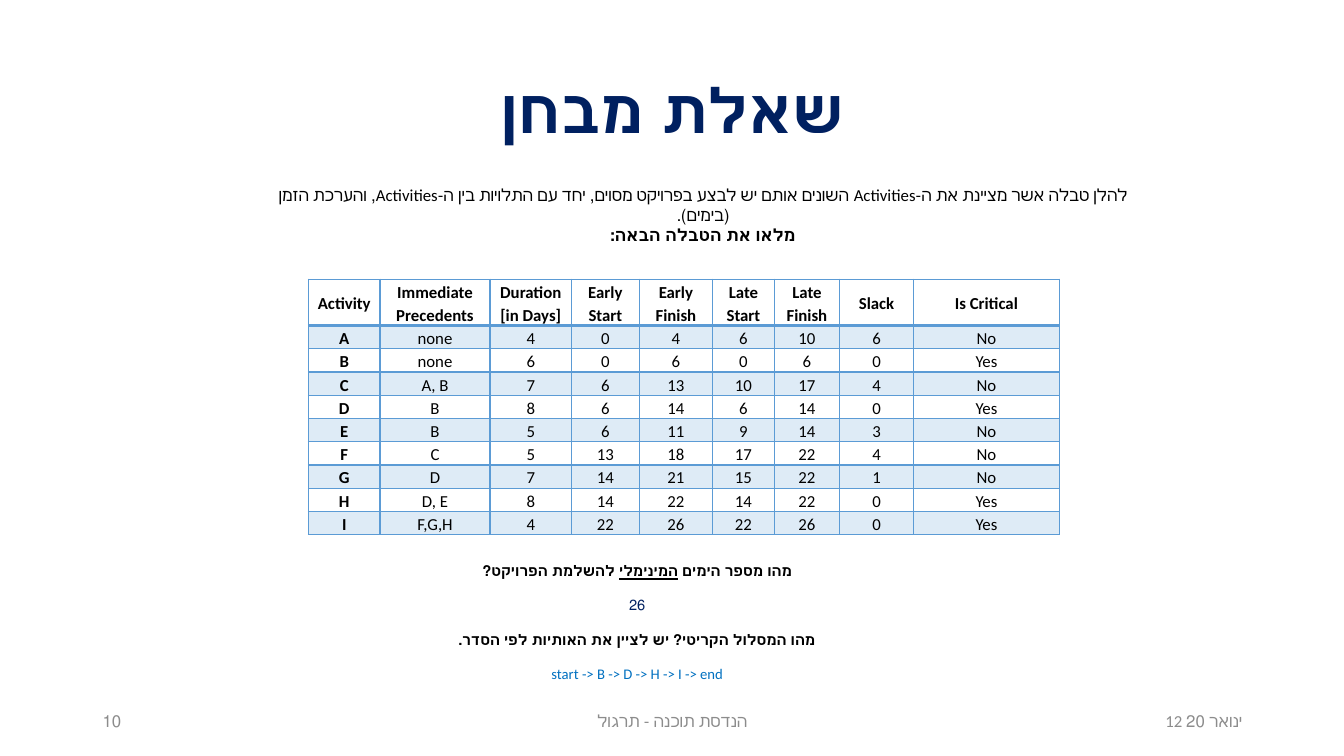
import pptx
import pptx.util
import pptx.dml.color
import pptx.enum.text
import pptx.oxml
import pptx.oxml.ns

Inches = pptx.util.Inches
ALIGN = pptx.enum.text.PP_ALIGN
ANCHOR = pptx.enum.text.MSO_ANCHOR

COLORS = {"navy": "002060", "black": "000000", "gray": "8C8C8C",
          "blue": "5B9BD5", "answer": "0070C0"}

HEADERS = ["Activity", "Immediate Precedents", "Duration [in Days]", "Early Start",
           "Early Finish", "Late Start", "Late Finish", "Slack", "Is Critical"]
ACTIVITIES = [
    ["A", "none", 4, 0, 4, 6, 10, 6, "No"],
    ["B", "none", 6, 0, 6, 0, 6, 0, "Yes"],
    ["C", "A, B", 7, 6, 13, 10, 17, 4, "No"],
    ["D", "B", 8, 6, 14, 6, 14, 0, "Yes"],
    ["E", "B", 5, 6, 11, 9, 14, 3, "No"],
    ["F", "C", 5, 13, 18, 17, 22, 4, "No"],
    ["G", "D", 7, 14, 21, 15, 22, 1, "No"],
    ["H", "D, E", 8, 14, 22, 14, 22, 0, "Yes"],
    ["I", "F,G,H", 4, 22, 26, 22, 26, 0, "Yes"],
]
COLUMN_WIDTHS = [0.71, 1.09, 0.81, 0.67, 0.73, 0.61, 0.65, 0.73, 1.45]


class SlideBuilder:
    """Holds the style and the current slide."""

    font_name = "Calibri"

    def __init__(self, slide):
        self.slide = slide

    def format(self, paragraph, size, color="black", bold=False,
               align=ALIGN.CENTER, rtl=False, spacing=None, after=None):
        if rtl:
            paragraph._p.get_or_add_pPr().set("rtl", "1")
        paragraph.alignment = align
        if spacing is not None:
            paragraph.line_spacing = spacing
        if after is not None:
            paragraph.space_after = pptx.util.Pt(after)
        font = paragraph.font
        font.name = self.font_name
        font.size = pptx.util.Pt(size)
        font.bold = bold
        font.color.rgb = pptx.dml.color.RGBColor.from_string(COLORS[color])

    def title(self, text, left, top, width, height):
        shape = self.slide.shapes.title
        shape.left, shape.top = Inches(left), Inches(top)
        shape.width, shape.height = Inches(width), Inches(height)
        shape.text_frame.text = text
        shape.text_frame.vertical_anchor = ANCHOR.MIDDLE
        self.format(shape.text_frame.paragraphs[0], 44, "navy", True, rtl=True, spacing=0.9)

    def text(self, left, top, width, height, lines, anchor=ANCHOR.MIDDLE, **style):
        """Each line is a list of runs with its own style; a run in a tuple is underlined."""
        box = self.slide.shapes.add_textbox(
            Inches(left), Inches(top), Inches(width), Inches(height))
        frame = box.text_frame
        frame.word_wrap = True
        frame.vertical_anchor = anchor
        for index, (runs, line_style) in enumerate(lines):
            paragraph = frame.paragraphs[0] if index == 0 else frame.add_paragraph()
            for part in runs:
                run = paragraph.add_run()
                if isinstance(part, tuple):
                    run.text = part[0]
                    run.font.underline = True
                else:
                    run.text = part
            self.format(paragraph, **{**style, **line_style})

    def border(self, cell, side, width):
        namespace = pptx.oxml.ns.nsdecls("a")
        cell._tc.get_or_add_tcPr().append(pptx.oxml.parse_xml(
            f'<a:ln{side} {namespace} w="{pptx.util.Pt(width)}"><a:solidFill>'
            f'<a:srgbClr val="{COLORS["blue"]}"/></a:solidFill></a:ln{side}>'))

    def fill(self, cell, shaded):
        if not shaded:
            cell.fill.background()
            return
        cell.fill.solid()
        cell.fill.fore_color.rgb = pptx.dml.color.RGBColor.from_string(COLORS["blue"])
        color = cell._tc.tcPr.find(".//" + pptx.oxml.ns.qn("a:solidFill") + "[last()]")
        fill = cell._tc.tcPr.findall(pptx.oxml.ns.qn("a:solidFill"))[-1]
        fill[0].append(pptx.oxml.parse_xml(
            f'<a:alpha {pptx.oxml.ns.nsdecls("a")} val="20000"/>'))

    def table(self, left, top, rows, widths, header_height, row_height):
        height = header_height + row_height * (len(rows) - 1)
        table = self.slide.shapes.add_table(
            len(rows), len(widths), Inches(left), Inches(top),
            Inches(sum(widths)), Inches(height)).table
        table.first_row = table.horz_banding = False
        for column, width in zip(table.columns, widths):
            column.width = Inches(width)
        for row_index, values in enumerate(rows):
            header = row_index == 0
            table.rows[row_index].height = Inches(header_height if header else row_height)
            for column_index, value in enumerate(values):
                cell = table.cell(row_index, column_index)
                cell.text = str(value)
                cell.margin_left = cell.margin_right = Inches(0.07)
                cell.margin_top = cell.margin_bottom = 0
                cell.vertical_anchor = ANCHOR.MIDDLE if header else ANCHOR.BOTTOM
                self.format(cell.text_frame.paragraphs[0], 12,
                            bold=header or column_index == 0, spacing=1.15)
                # The line under the header is thicker
                self.border(cell, "L", 1)
                self.border(cell, "R", 1)
                self.border(cell, "T", 2 if row_index == 1 else 1)
                self.border(cell, "B", 2 if header else 1)
                self.fill(cell, shaded=row_index % 2 == 1)


def main():
    presentation = pptx.Presentation()
    presentation.slide_width = Inches(13.33)
    presentation.slide_height = Inches(7.5)
    builder = SlideBuilder(presentation.slides.add_slide(presentation.slide_layouts[5]))

    # Title
    builder.title("שאלת מבחן", 0.92, 0.4, 11.5, 1.45)

    # Footer: date, course, slide number
    for left, width, text, align, rtl in [
            (9.42, 3, "12 ינואר 20", ALIGN.RIGHT, False),
            (4.42, 4.5, "הנדסת תוכנה - תרגול", ALIGN.CENTER, True),
            (0.92, 3, "10", ALIGN.LEFT, True)]:
        builder.text(left, 6.95, width, 0.4, [([text], {})],
                     size=12, color="gray", align=align, rtl=rtl)

    # Activity table
    builder.table(3.06, 2.77, [HEADERS] + ACTIVITIES, COLUMN_WIDTHS, 0.45, 0.22)

    # Task description
    builder.text(2.42, 1.88, 9.11, 0.5, [
        (["להלן טבלה אשר מציינת את ה-Activities השונים אותם יש לבצע בפרויקט מסוים, "
          "יחד עם התלויות בין ה-Activities, והערכת הזמן (בימים)."], {}),
        (["מלאו את הטבלה הבאה:"], {"bold": True}),
    ], size=12, rtl=True)

    # Questions and answers
    builder.text(3.8, 5.5, 5.04, 1.32, [
        (["מהו מספר הימים ", ("המינימלי",), " להשלמת הפרויקט?"], {"bold": True}),
        (["26"], {"color": "navy"}),
        (["מהו המסלול הקריטי? יש לציין את האותיות לפי הסדר."], {"bold": True}),
        (["start -> B -> D -> H -> I -> end"], {"color": "answer"}),
    ], anchor=ANCHOR.TOP, size=10.5, rtl=True, spacing=1.15, after=10)

    presentation.save("out.pptx")


if __name__ == "__main__":
    main()
